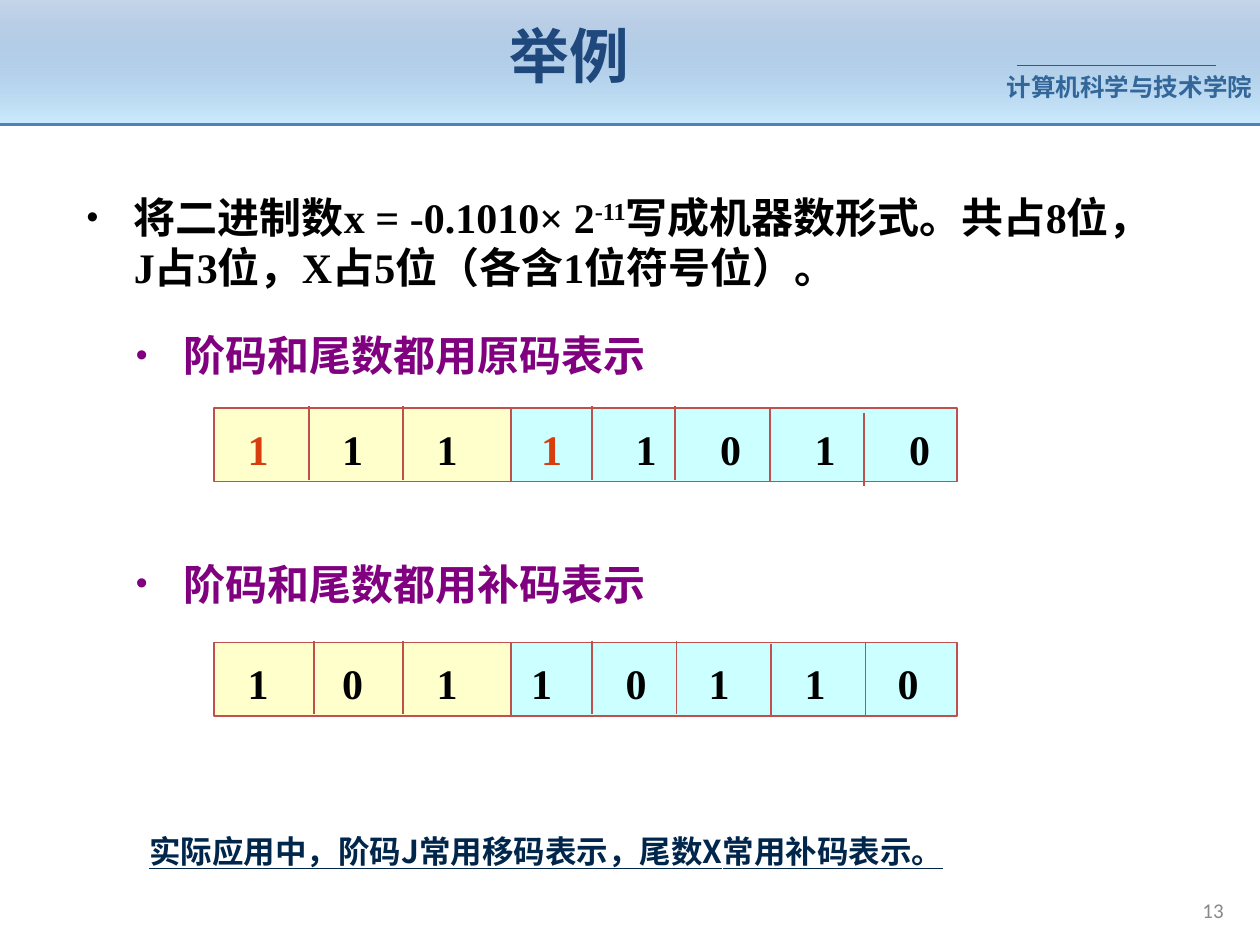
from lxml import etree
from pptx import Presentation
from pptx.dml.color import RGBColor
from pptx.enum.shapes import MSO_CONNECTOR, MSO_SHAPE
from pptx.enum.text import MSO_ANCHOR, PP_ALIGN
from pptx.oxml.ns import qn
from pptx.util import Inches, Pt

RECT, STRAIGHT = MSO_SHAPE.RECTANGLE, MSO_CONNECTOR.STRAIGHT
LEFT, CENTER, RIGHT = PP_ALIGN.LEFT, PP_ALIGN.CENTER, PP_ALIGN.RIGHT
TOP, MIDDLE = MSO_ANCHOR.TOP, MSO_ANCHOR.MIDDLE
SERIF, SANS, CJK = "Times New Roman", "Calibri", "Noto Sans CJK SC"
C = {"band": "4F81BD", "sky": "CCECFF", "school": "336699", "rule": "0066CC",
     "title": "1F497D", "text": "000000", "purple": "800080", "sign": "D73D0D",
     "exponent": "FFFFCC", "mantissa": "CCFFFF", "border": "C0504D",
     "note": "00264C", "number": "898989"}

prs = Presentation()
prs.slide_width, prs.slide_height = Inches(10), Inches(7.5)
COL, ROW = prs.slide_width / 100, prs.slide_height / 100
s = prs.slides.add_slide(prs.slide_layouts[6])


def add_text(x, y, w, h, runs, size, font=SERIF, bold=True, align=LEFT, anchor=TOP,
             wrap=True, inset=1, spacing=None, bullet=None, tabs=()):
    sp = s.shapes.add_textbox(int(x * COL), int(y * ROW), int(w * COL), int(h * ROW))
    tf = sp.text_frame
    tf.word_wrap, tf.vertical_anchor = wrap, anchor
    tf.margin_left = tf.margin_right = int(inset * COL)
    p = tf.paragraphs[0]
    p.alignment = align
    if spacing:
        p.line_spacing = spacing
    pPr = p._p.get_or_add_pPr()
    if bullet:
        indent = int(3.75 * COL)
        pPr.set("marL", str(indent))
        pPr.set("indent", str(-indent))
        color = etree.SubElement(pPr, qn("a:buClr"))
        etree.SubElement(color, qn("a:srgbClr"), val=C[bullet])
        etree.SubElement(pPr, qn("a:buSzPct"), val="80000")
        etree.SubElement(pPr, qn("a:buFont"), typeface="Arial")
        etree.SubElement(pPr, qn("a:buChar"), char="•")
    if tabs:
        stops = etree.SubElement(pPr, qn("a:tabLst"))
        for tab in tabs:
            etree.SubElement(stops, qn("a:tab"), pos=str(int(tab * COL)), algn="ctr")
    for text, color in runs:
        r = p.add_run()
        r.text = text
        r.font.size, r.font.name, r.font.bold = Pt(size), font, bold
        r.font.color.rgb = RGBColor.from_string(C[color])
        etree.SubElement(r._r.get_or_add_rPr(), qn("a:ea"), typeface=CJK)
    return p


def add_line(x1, y1, x2, y2, color, width):
    line = s.shapes.add_connector(STRAIGHT, int(x1 * COL), int(y1 * ROW),
                                  int(x2 * COL), int(y2 * ROW))
    line.line.color.rgb = RGBColor.from_string(C[color])
    line.line.width = Pt(width)
    etree.SubElement(line._element.spPr, qn("a:effectLst"))


header = s.shapes.add_shape(RECT, 0, 0, prs.slide_width, int(13.2 * ROW))
header.shadow.inherit = False
header.line.fill.background()
header.fill.gradient()
header.fill.gradient_angle = 270
for stop, color, position in zip(header.fill.gradient_stops, ("band", "sky"), (0, 1)):
    stop.color.rgb = RGBColor.from_string(C[color])
    stop.position = position
first_color = next(header._element.spPr.iter(qn("a:srgbClr")))
etree.SubElement(first_color, qn("a:alpha"), val="32000")

add_text(79.9, 6.93, 19.7, 4.53, [("计算机科学与技术学院", "school")], 14, "Arial", inset=0)
add_line(80.7, 6.93, 96.5, 6.93, "rule", 0.75)
add_line(0, 13.2, 100, 13.2, "band", 1.5)
add_text(2.7, 1.73, 85, 9.47, [("举例", "title")], 34.1, align=CENTER, anchor=MIDDLE,
         spacing=0.8)
add_text(76, 94.13, 22.1, 4.27, [("13", "number")], 12, SANS, False, RIGHT, MIDDLE)

task = add_text(5.9, 19.6, 85, 16.67, [
    ("将二进制数x = -0.1010× 2", "text"), ("-11", "text"),
    ("写成机器数形式。共占8位，J占3位，X占5位（各含1位符号位）。", "text")], 24, bullet="text")
task.runs[1].font._element.set("baseline", "30000")

registers = [
    ("阶码和尾数都用原码表示", 34.27, 43.2, 44.2, "11111010", (0, 3),
     (20.5, 28, 35.5, 43.8, 51.3, 58, 65.5, 73),
     (24.5, 32, 47, 53.6, 61.1, 68.6), (-0.2, -0.2, -0.2, -0.2, 0.1, 0.5)),
    ("阶码和尾数都用补码表示", 58.4, 68, 68.93, "10110110", (),
     (20.5, 28, 35.5, 43, 50.5, 57.1, 64.7, 72.1),
     (24.9, 32, 47, 53.7, 61.2, 68.7), (-0.2, -0.2, -0.2, -0.2, 0.1, -0.1)),
]
CELL_H, BITS_X, PAD = 7.75, 15.3, 1
for label, label_y, y, bits_y, bits, signs, centers, dividers, shifts in registers:
    add_text(9.8, label_y, 85, 7.75, [(label, "purple")], 24, bullet="purple")
    for x, w, color in ((40.55, 35.4, "mantissa"), (17, 23.55, "exponent")):
        sp = s.shapes.add_shape(RECT, int(x * COL), int(y * ROW), int(w * COL),
                                int(CELL_H * ROW))
        sp.shadow.inherit = False
        sp.fill.solid()
        sp.fill.fore_color.rgb = RGBColor.from_string(C[color])
        sp.line.color.rgb = RGBColor.from_string(C["border"])
        sp.line.width = Pt(1)
    for x, shift in zip(dividers, shifts):
        add_line(x, y + shift, x, y + shift + CELL_H, "border", 1)
    runs = [("\t" + bit, "sign" if i in signs else "text") for i, bit in enumerate(bits)]
    add_text(BITS_X, bits_y, 60.7, CELL_H, runs, 24,
             tabs=[x - BITS_X - PAD for x in centers])

note = add_text(5.9, 87.87, 74.9, 4.93,
                [("实际应用中，阶码J常用移码表示，尾数X常用补码表示。", "note")],
                18, CJK, align=CENTER, wrap=False, spacing=0.9)
note.runs[0].font.underline = True

prs.save("out.pptx")
